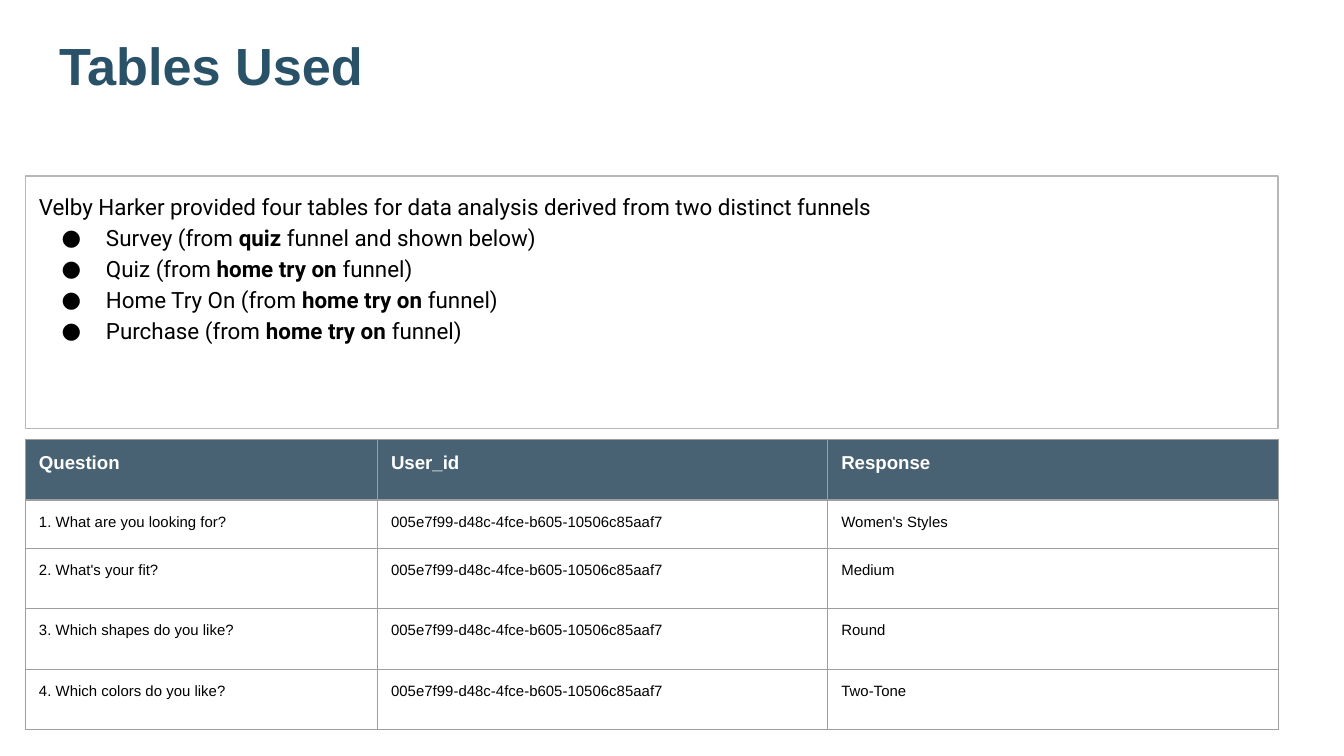
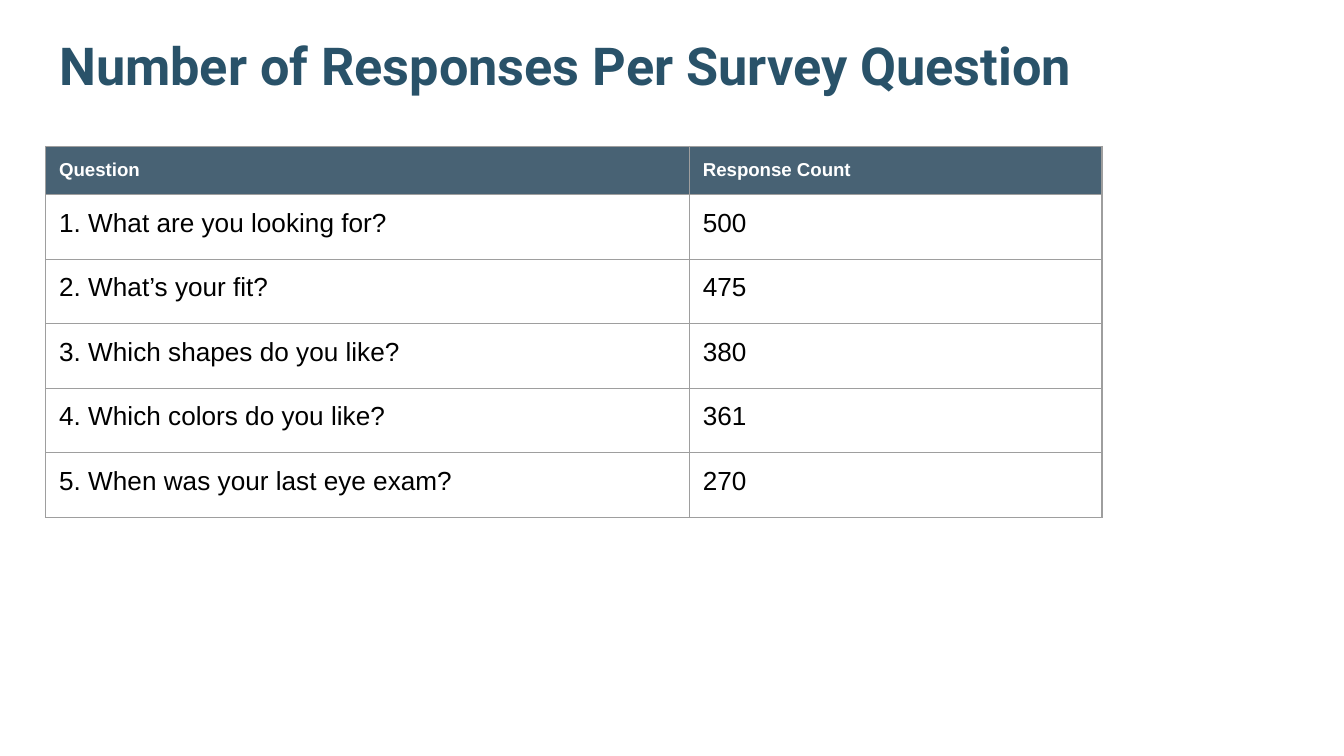
from dataclasses import dataclass

from pptx import Presentation, util as u
from pptx.dml.color import RGBColor
from pptx.enum import shapes, text
from pptx.oxml.ns import qn
from lxml import etree


@dataclass(frozen=True)
class Theme:
    title: str = "295269"
    header: str = "204056"
    header_alpha: int = 82000
    header_ink: str = "FFFFFF"
    ink: str = "000000"
    panel_line: str = "B7B7B7"
    grid: str = "9E9E9E"
    sans: str = "Arial"
    roboto: str = "Roboto"
    title_size: int = 28
    text_size: int = 12
    header_size: int = 10
    line: float = 0.75
    inset: float = 0.1


THEME = Theme()
WIDTH = 10
HEIGHT = WIDTH * 9 / 16
TITLE_BOX = (0.34, 0.15, 9.32, 0.63)
PANEL_BOX = (0.19, 1.31, 9.32, 1.88)
USER = "005e7f99-d48c-4fce-b605-10506c85aaf7"
HOME = "home try on "

INTRO = "Velby Harker provided four tables for data analysis derived from two distinct funnels"
SOURCES = [
    ("Survey (from ", "quiz", " funnel and shown below)"),
    ("Quiz (from ", HOME, "funnel)"),
    ("Home Try On (from ", HOME, "funnel)"),
    ("Purchase (from ", HOME, "funnel)"),
]
SLIDES = [
    {
        "title": "Tables Used",
        "font": THEME.sans,
        "panel": True,
        "origin": (0.19, 3.27),
        "columns": (2.62, 3.35, 3.35),
        "heights": (0.45, 0.36, 0.45, 0.45, 0.45),
        "size": 8,
        "rows": [
            ("Question", "User_id", "Response"),
            ("1. What are you looking for?", USER, "Women's Styles"),
            ("2. What's your fit?", USER, "Medium"),
            ("3. Which shapes do you like?", USER, "Round"),
            ("4. Which colors do you like?", USER, "Two-Tone"),
        ],
    },
    {
        "title": "Number of Responses Per Survey Question",
        "font": THEME.roboto,
        "panel": False,
        "origin": (0.34, 1.09),
        "columns": (4.79, 3.07),
        "heights": (0.36,) + (0.48,) * 5,
        "size": 14,
        "rows": [
            ("Question", "Response Count"),
            ("1. What are you looking for?", "500"),
            ("2. What’s your fit?", "475"),
            ("3. Which shapes do you like?", "380"),
            ("4. Which colors do you like?", "361"),
            ("5. When was your last eye exam?", "270"),
        ],
    },
]


def inches(values):
    return [u.Inches(value) for value in values]


def set_all(target, values):
    for name, value in values.items():
        setattr(target, name, value)


def style(font, name, size, color, bold=False):
    set_all(font, {"name": name, "size": u.Pt(size), "bold": bold})
    font.color.rgb = RGBColor.from_string(color)


def set_insets(target):
    sides = ("left", "right", "top", "bottom")
    set_all(target, {f"margin_{side}": u.Inches(THEME.inset) for side in sides})


def add_title(slide, words, font):
    title = slide.shapes.title
    set_all(title, dict(zip(("left", "top", "width", "height"), inches(TITLE_BOX))))
    frame = title.text_frame
    set_insets(frame)
    set_all(frame, {
        "text": words,
        "word_wrap": True,
        "auto_size": text.MSO_AUTO_SIZE.NONE,
        "vertical_anchor": text.MSO_ANCHOR.TOP,
    })
    heading = frame.paragraphs[0]
    set_all(heading, {"alignment": text.PP_ALIGN.LEFT, "line_spacing": 1.0})
    style(heading.runs[0].font, font, THEME.title_size, THEME.title, True)


def add_bullet(paragraph):
    props = paragraph._p.get_or_add_pPr()
    props.set("marL", str(u.Inches(0.5)))
    props.set("indent", str(u.Inches(-0.33)))
    color = etree.SubElement(props, qn("a:buClr"))
    etree.SubElement(color, qn("a:srgbClr"), val=THEME.ink)
    etree.SubElement(props, qn("a:buFont"), typeface=THEME.roboto)
    etree.SubElement(props, qn("a:buChar"), char="●")


def add_panel(slide):
    panel = slide.shapes.add_shape(shapes.MSO_SHAPE.RECTANGLE, *inches(PANEL_BOX))
    panel.shadow.inherit = False
    panel.fill.background()
    panel.line.color.rgb = RGBColor.from_string(THEME.panel_line)
    panel.line.width = u.Pt(THEME.line)
    frame = panel.text_frame
    set_insets(frame)
    set_all(frame, {"word_wrap": True, "vertical_anchor": text.MSO_ANCHOR.TOP})
    for index, parts in enumerate([(INTRO,)] + SOURCES):
        paragraph = frame.add_paragraph() if index else frame.paragraphs[0]
        set_all(paragraph, {"alignment": text.PP_ALIGN.LEFT, "line_spacing": 1.15})
        if index:
            add_bullet(paragraph)
        for place, words in enumerate(parts):
            run = paragraph.add_run()
            run.text = words
            style(run.font, THEME.roboto, THEME.text_size, THEME.ink, place == 1)


def add_borders(cell):
    props = cell._tc.get_or_add_tcPr()
    for side in ("lnL", "lnR", "lnT", "lnB"):
        border = etree.SubElement(props, qn(f"a:{side}"), w=str(u.Pt(THEME.line)))
        fill = etree.SubElement(border, qn("a:solidFill"))
        etree.SubElement(fill, qn("a:srgbClr"), val=THEME.grid)


def fill_cell(cell, header):
    if not header:
        cell.fill.background()
        return
    cell.fill.solid()
    cell.fill.fore_color.rgb = RGBColor.from_string(THEME.header)
    color = cell._tc.tcPr.find(f"{qn('a:solidFill')}/{qn('a:srgbClr')}")
    etree.SubElement(color, qn("a:alpha"), val=str(THEME.header_alpha))


def add_responses(slide, content):
    rows, columns, heights = (content[key] for key in ("rows", "columns", "heights"))
    box = inches((*content["origin"], sum(columns), sum(heights)))
    table = slide.shapes.add_table(len(rows), len(columns), *box).table
    table.horz_banding = False
    for column, width in zip(table.columns, columns):
        column.width = u.Inches(width)
    for index, (row, height, answers) in enumerate(zip(table.rows, heights, rows)):
        row.height = u.Inches(height)
        header = index == 0
        size = THEME.header_size if header else content["size"]
        color = THEME.header_ink if header else THEME.ink
        for cell, words in zip(row.cells, answers):
            cell.text = words
            set_insets(cell)
            add_borders(cell)
            fill_cell(cell, header)
            style(cell.text_frame.paragraphs[0].runs[0].font, THEME.sans, size, color, header)


def main():
    deck = Presentation()
    set_all(deck, {"slide_width": u.Inches(WIDTH), "slide_height": u.Inches(HEIGHT)})
    for content in SLIDES:
        slide = deck.slides.add_slide(deck.slide_layouts[5])
        add_title(slide, content["title"], content["font"])
        if content["panel"]:
            add_panel(slide)
        add_responses(slide, content)
    deck.save("out.pptx")


if __name__ == "__main__":
    main()
